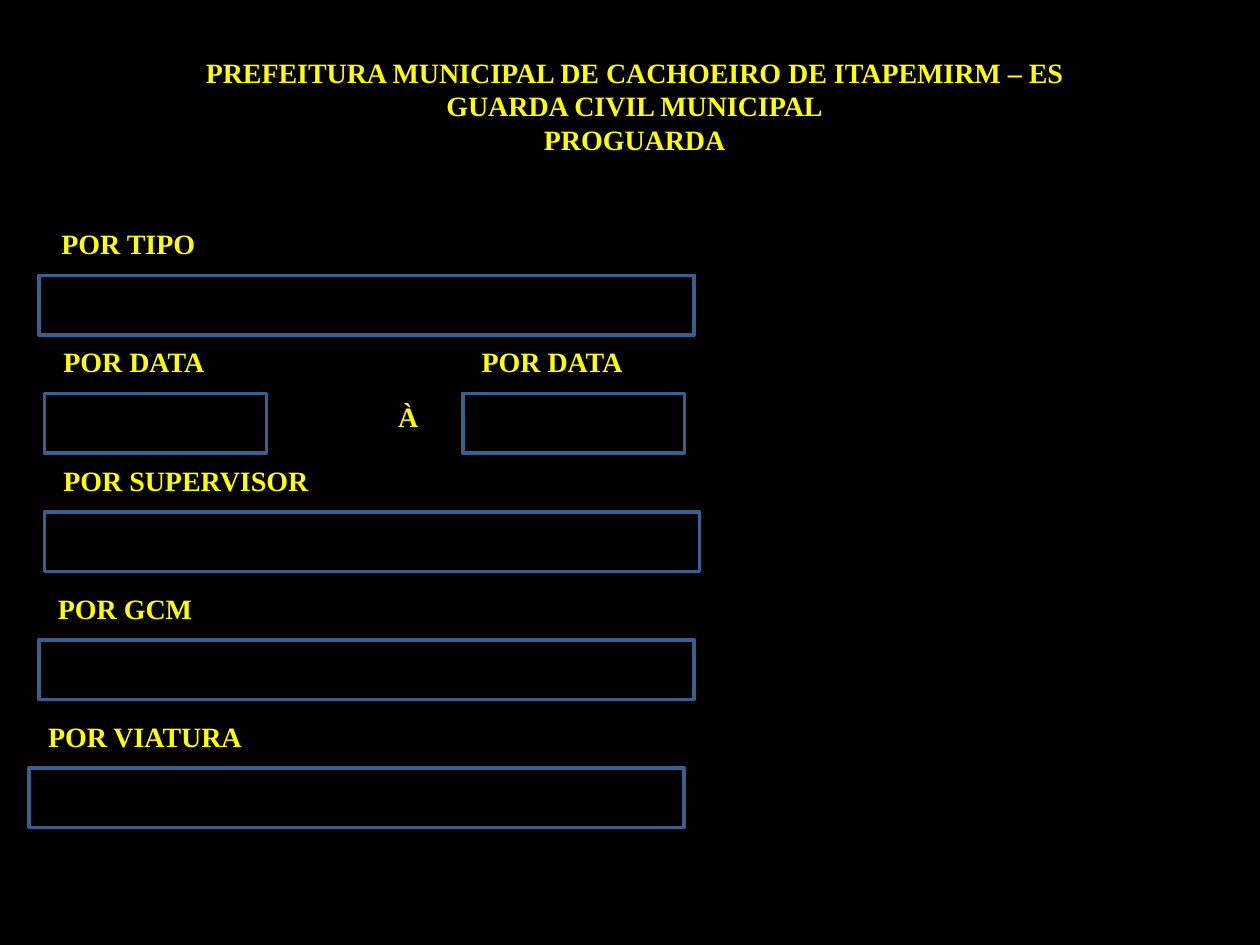
import pptx
import pptx.dml.color
import pptx.enum.shapes
import pptx.enum.text
import pptx.util
from pptx.util import Cm

BLACK = pptx.dml.color.RGBColor(0x00, 0x00, 0x00)
YELLOW = pptx.dml.color.RGBColor(0xFF, 0xFF, 0x00)
BLUE = pptx.dml.color.RGBColor(0x3A, 0x5F, 0x8C)
CENTER = pptx.enum.text.PP_ALIGN.CENTER
LEFT = pptx.enum.text.PP_ALIGN.LEFT

FIELD_HEIGHT = 1.2
WIDE, NARROW = 13.2, 4.47
LABEL_WIDTH, LABEL_HEIGHT = 7, 0.94
LABEL_RISE = 1.1

# label, field left, top and width, label indent (cm)
FIELDS = [
    ("POR TIPO", 0.79, 5.55, WIDE, 0.2),
    ("POR DATA", 0.9, 7.93, NARROW, 0.13),
    ("POR DATA", 9.33, 7.93, NARROW, 0.13),
    ("POR SUPERVISOR", 0.9, 10.32, WIDE, 0.13),
    ("POR GCM", 0.79, 12.9, WIDE, 0.13),
    ("POR VIATURA", 0.59, 15.48, WIDE, 0.13),
]


def write_lines(box, lines, align):
    frame = box.text_frame
    frame.word_wrap = True
    frame.vertical_anchor = pptx.enum.text.MSO_ANCHOR.TOP
    frame.auto_size = pptx.enum.text.MSO_AUTO_SIZE.SHAPE_TO_FIT_TEXT
    frame.text = "\n".join(lines)
    for para in frame.paragraphs:
        para.alignment = align
        para.font.name = "Times New Roman"
        para.font.size = pptx.util.Pt(16)
        para.font.bold = True
        para.font.color.rgb = YELLOW


def add_heading(page, left, top, width, height):
    title = page.shapes.title
    title.left, title.top = Cm(left), Cm(top)
    title.width, title.height = Cm(width), Cm(height)
    write_lines(title, [
        "PREFEITURA MUNICIPAL DE CACHOEIRO DE ITAPEMIRM – ES",
        "GUARDA CIVIL MUNICIPAL",
        "PROGUARDA",
    ], CENTER)


def add_label(page, text, left, top, width=LABEL_WIDTH, align=LEFT):
    box = page.shapes.add_textbox(Cm(left), Cm(top), Cm(width), Cm(LABEL_HEIGHT))
    write_lines(box, [text], align)


def add_field(page, label, left, top, width, indent):
    """Add an empty search field with its label above it."""
    field = page.shapes.add_shape(
        pptx.enum.shapes.MSO_SHAPE.RECTANGLE,
        Cm(left), Cm(top), Cm(width), Cm(FIELD_HEIGHT))
    field.shadow.inherit = False
    field.fill.solid()
    field.fill.fore_color.rgb = BLACK
    field.line.color.rgb = BLUE
    field.line.width = pptx.util.Pt(2)
    add_label(page, label, left + indent, top - LABEL_RISE)


def main():
    deck = pptx.Presentation()
    deck.slide_width, deck.slide_height = Cm(25.4), Cm(19.05)
    page = deck.slides.add_slide(deck.slide_layouts.get_by_name("Title Only"))
    page.background.fill.solid()
    page.background.fill.fore_color.rgb = BLACK
    add_heading(page, 3.56, 0.99, 18.47, 2.31)
    for field in FIELDS:
        add_field(page, *field)
    add_label(page, "À", 7.34, 7.93, 1.78, CENTER)
    deck.save("out.pptx")


if __name__ == "__main__":
    main()
